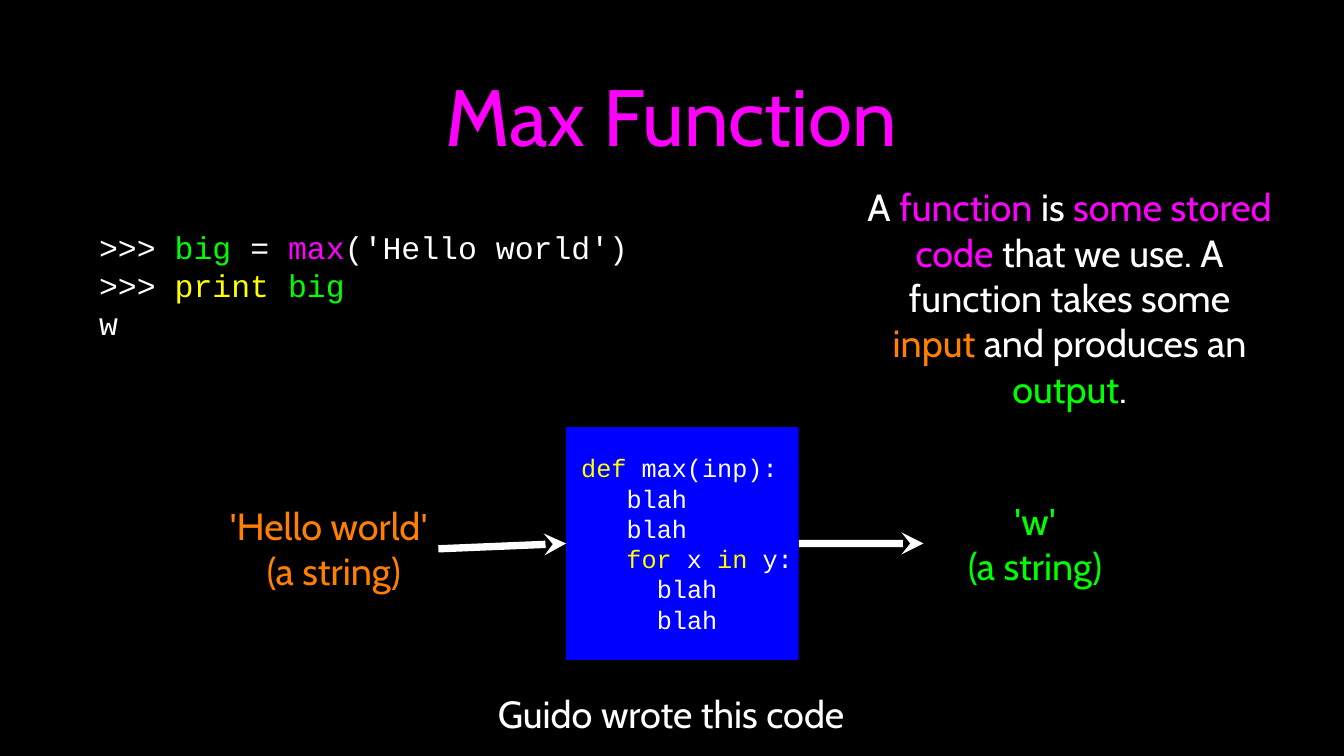
import pptx
import pptx.dml.color
import pptx.enum.shapes
import pptx.enum.text
import pptx.oxml
import pptx.oxml.ns
import pptx.util
from pptx.util import Cm

COLOURS = {
    "black": "000000",
    "white": "FFFFFF",
    "magenta": "FF00FF",
    "yellow": "FFFF00",
    "green": "00FF00",
    "orange": "FF7F00",
    "blue": "0000FF",
}
SANS, MONO, QUOTE = "Cabin", "Courier New", "Arial"
CENTER = pptx.enum.text.PP_ALIGN.CENTER
LEFT = pptx.enum.text.PP_ALIGN.LEFT


def colour(name):
    """Return the named colour as an RGB value."""
    return pptx.dml.color.RGBColor.from_string(COLOURS[name])


def write_text(shape, lines, size, font, alignment, margin=0):
    """Fill a shape with lines of (text, colour[, font]) runs."""
    text_frame = shape.text_frame
    text_frame.word_wrap = True
    text_frame.auto_size = pptx.enum.text.MSO_AUTO_SIZE.NONE
    text_frame.vertical_anchor = pptx.enum.text.MSO_ANCHOR.MIDDLE
    text_frame.margin_left = text_frame.margin_right = Cm(margin)
    text_frame.margin_top = text_frame.margin_bottom = Cm(margin)
    text_frame.text = "\n".join("" for line in lines)
    for paragraph, line in zip(text_frame.paragraphs, lines):
        paragraph.alignment = alignment
        for text, colour_name, *run_font in line:
            run = paragraph.add_run()
            run.text = text
            run.font.size = pptx.util.Pt(size)
            run.font.name = run_font[0] if run_font else font
            run.font.color.rgb = colour(colour_name)


def place_title(slide, left, top, width, height):
    """Move and format the title placeholder."""
    title = slide.shapes.title
    title.left, title.top = Cm(left), Cm(top)
    title.width, title.height = Cm(width), Cm(height)
    write_text(title, [[("Max Function", "magenta")]], 76, SANS, CENTER, 0.1)


def add_label(slide, left, top, width, height, lines, size=36, font=SANS, alignment=CENTER):
    """Add a text box holding coloured lines."""
    label = slide.shapes.add_textbox(Cm(left), Cm(top), Cm(width), Cm(height))
    write_text(label, lines, size, font, alignment)


def add_session(slide, left, top, width, height):
    """Add the interactive session that calls the function."""
    lines = [
        [(">>> ", "white"), ("big", "green"), (" = ", "white"),
         ("max", "magenta"), ("('Hello world')", "white")],
        [(">>> ", "white"), ("print ", "yellow"), ("big", "green")],
        [("w", "white")],
    ]
    add_label(slide, left, top, width, height, lines, 30, MONO, LEFT)


def add_definition(slide, left, top, width, height):
    """Add the sentence that explains what a function is."""
    sentence = [
        ("A ", "white"), ("function", "magenta"), (" is ", "white"),
        ("some stored code", "magenta"),
        (" that we use. A function takes some ", "white"), ("input", "orange"),
        (" and produces an ", "white"), ("output", "green"), (".", "white"),
    ]
    add_label(slide, left, top, width, height, [sentence])


def add_code_box(slide, left, top, side):
    """Add the square with the function body and return it."""
    box = slide.shapes.add_shape(
        pptx.enum.shapes.MSO_SHAPE.RECTANGLE, Cm(left), Cm(top), Cm(side), Cm(side))
    box.shadow.inherit = False
    box.fill.solid()
    box.fill.fore_color.rgb = colour("blue")
    box.line.fill.background()
    blah = [("    blah", "white")]
    inner_blah = [("      blah", "white")]
    lines = [
        [(" def", "yellow"), (" max(inp):", "white")],
        blah,
        blah,
        [("    ", "white"), ("for", "yellow"), (" x ", "white"),
         ("in", "yellow"), (" y:", "white")],
        inner_blah,
        inner_blah,
    ]
    write_text(box, lines, 24, MONO, LEFT)
    return box


def add_arrow(slide, start_x, start_y, end_x, end_y):
    """Add a thick white arrow and return it."""
    arrow = slide.shapes.add_connector(
        pptx.enum.shapes.MSO_CONNECTOR.STRAIGHT,
        Cm(start_x), Cm(start_y), Cm(end_x), Cm(end_y))
    arrow.line.color.rgb = colour("white")
    arrow.line.width = pptx.util.Pt(7)
    line = arrow.line._get_or_add_ln()
    line.append(pptx.oxml.parse_xml(
        f'<a:tailEnd {pptx.oxml.ns.nsdecls("a")} type="stealth"/>'))
    arrow._element.spPr.append(pptx.oxml.parse_xml(
        f'<a:effectLst {pptx.oxml.ns.nsdecls("a")}/>'))
    return arrow


def string_lines(value, colour_name, ending="'"):
    """Return the two lines that show a quoted string and its type."""
    return [
        [("'", colour_name, QUOTE), (value, colour_name), (ending, colour_name, QUOTE)],
        [("(a string)", colour_name)],
    ]


def add_flow(slide, left, top):
    """Add the input, the function box, the output and the arrows between."""
    box = add_code_box(slide, left + 11.76, top, 7.82)
    add_label(slide, left, top + 2.46, 7.92, 3.18,
              string_lines("Hello world", "orange", "' "))
    add_label(slide, left + 25.07, top + 2.31, 4.9, 3.18, string_lines("w", "green"))
    input_arrow = add_arrow(slide, left + 7.47, top + 4.09, left + 11.61, top + 4.04)
    input_arrow.end_connect(box, 1)
    output_arrow = add_arrow(slide, left + 19.63, top + 3.96, left + 23.77, top + 3.91)
    output_arrow.begin_connect(box, 3)
    add_label(slide, left + 9.27, top + 8.76, 12.04, 1.73,
              [[("Guido wrote this code", "white")]])


def main():
    """Build the slide and save it."""
    presentation = pptx.Presentation()
    presentation.slide_width, presentation.slide_height = Cm(45.16), Cm(25.4)
    slide = presentation.slides.add_slide(presentation.slide_layouts.get_by_name("Title Only"))
    slide.background.fill.solid()
    slide.background.fill.fore_color.rgb = colour("black")
    place_title(slide, 3.2, 0.66, 38.71, 6.38)
    add_flow(slide, 7.26, 14.35)
    add_session(slide, 3.33, 7.26, 19.81, 4.62)
    add_definition(slide, 29.08, 6.96, 13.72, 6.07)
    presentation.save("out.pptx")


if __name__ == "__main__":
    main()
